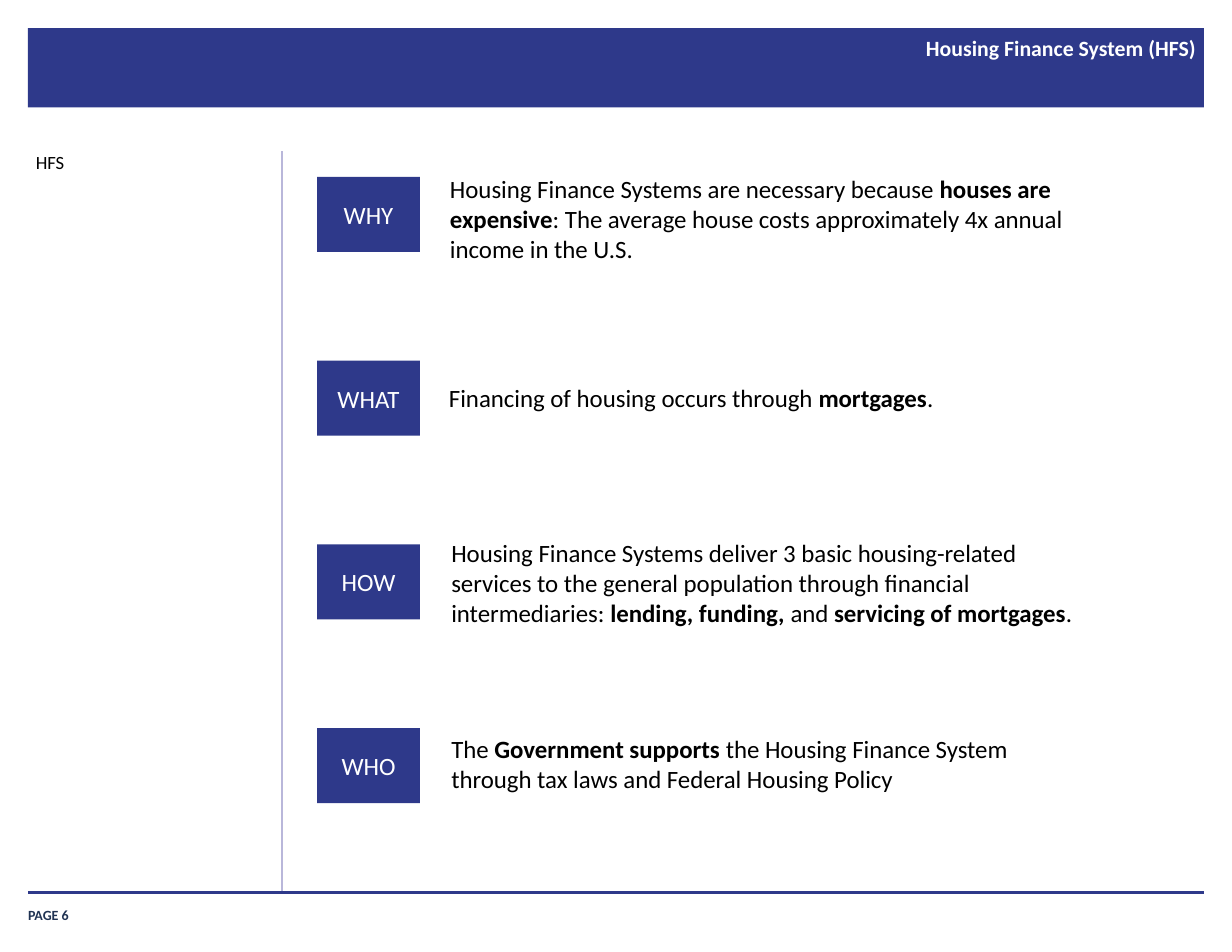
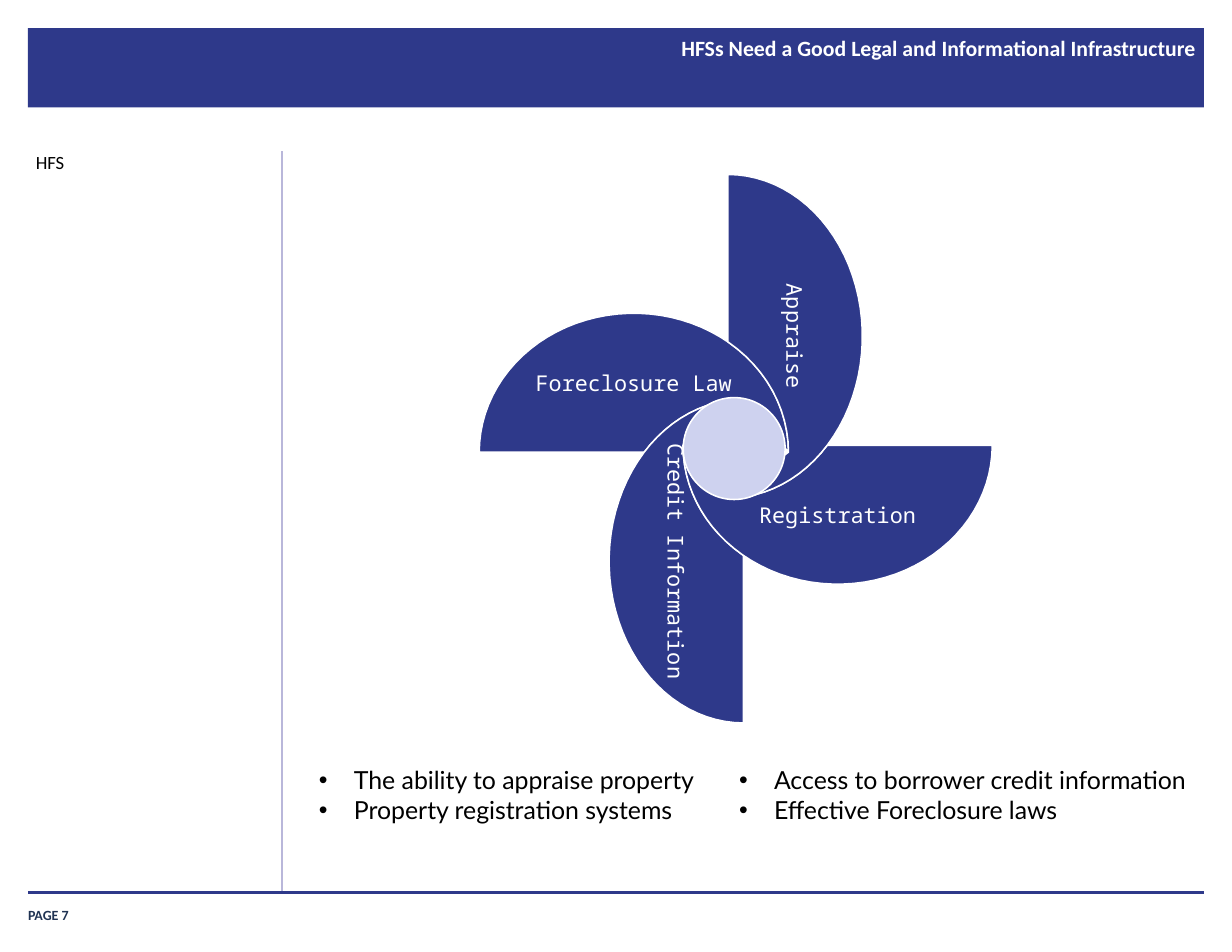
from math import asin, cos, degrees, radians, sin

from lxml.etree import SubElement
from pptx import Presentation
from pptx.dml.color import RGBColor
from pptx.enum.shapes import MSO_CONNECTOR, MSO_SHAPE
from pptx.enum.text import MSO_ANCHOR as ANCHOR, MSO_AUTO_SIZE, PP_ALIGN as ALIGN
from pptx.oxml.ns import qn
from pptx.util import Pt

NAVY = RGBColor(0x2E, 0x39, 0x8A)
PAGE_INK = RGBColor(0x20, 0x33, 0x53)
LILAC = RGBColor(0xCE, 0xD2, 0xEF)
RULE_LILAC = RGBColor(0xB9, 0xB7, 0xDA)
WHITE = RGBColor(255, 255, 255)
BLACK = RGBColor(0, 0, 0)


def style(p, size, color, font="Calibri", bold=False, align=None):
    if align is not None:
        p.alignment = align
    for r in p.runs:
        r.font.size, r.font.name, r.font.bold = Pt(size), font, bold
        r.font.color.rgb = color


def paint(shape, fill, line=None):
    """Give a shape a flat fill, an optional 1 pt outline and no shadow."""
    shape.shadow.inherit = False
    shape.fill.solid()
    shape.fill.fore_color.rgb = fill
    if line is None:
        shape.line.fill.background()
    else:
        shape.line.color.rgb = line
        shape.line.width = Pt(1)


prs = Presentation()
prs.slide_width, prs.slide_height = Pt(792), Pt(612)

# Shared frame: band, rules, page number, title and side note
TITLES = ["Housing Finance System (HFS)",
          "HFSs Need a Good Legal and Informational Infrastructure"]
RULES = [(18, 573.9, 774, 573.9, 2.25, NAVY), (181.4, 97.2, 181.4, 573, 1, RULE_LILAC)]

for page, title in enumerate(TITLES, start=6):
    s = prs.slides.add_slide(prs.slide_layouts[1])

    band = s.shapes.add_shape(MSO_SHAPE.RECTANGLE, Pt(18), Pt(18), Pt(756), Pt(51.1))
    paint(band, NAVY)

    number = s.shapes.add_textbox(Pt(18), Pt(576.7), Pt(65.5), Pt(16.6))
    number.text_frame.text = f"PAGE {page}"
    number.text_frame.vertical_anchor = ANCHOR.BOTTOM
    style(number.text_frame.paragraphs[0], 9, PAGE_INK, bold=True)

    for x1, y1, x2, y2, width, color in RULES:
        rule = s.shapes.add_connector(MSO_CONNECTOR.STRAIGHT, Pt(x1), Pt(y1), Pt(x2), Pt(y2))
        rule.line.color.rgb = color
        rule.line.width = Pt(width)
        SubElement(rule._element.spPr, qn("a:effectLst"))

    head, note = s.shapes.title, s.placeholders[1]
    head.left, head.top, head.width, head.height = Pt(228.2), Pt(20.9), Pt(540.7), Pt(48.2)
    note.left, note.top, note.width, note.height = Pt(23), Pt(97.2), Pt(144.7), Pt(466.6)
    head.text_frame.text = title
    note.text_frame.text = "HFS"
    for box in (head, note, number):
        tf = box.text_frame
        tf.margin_left = tf.margin_top = tf.margin_right = tf.margin_bottom = 0
        tf.word_wrap = True
        tf.auto_size = MSO_AUTO_SIZE.NONE
    for box in (head, note):
        box.text_frame.vertical_anchor = ANCHOR.TOP
        s.shapes._spTree.append(box._element)  # in front of the band
    p = head.text_frame.paragraphs[0]
    p.line_spacing = 1.1
    style(p, 14, WHITE, bold=True, align=ALIGN.RIGHT)
    p = note.text_frame.paragraphs[0]
    pPr = p._p.get_or_add_pPr()
    pPr.set("marL", "0")
    pPr.set("indent", "0")
    SubElement(pPr, qn("a:buNone"))
    p.space_before = Pt(0)
    style(p, 12, BLACK, align=ALIGN.LEFT)

overview, infrastructure = prs.slides

# Four questions; in each answer every second part is bold
QUESTIONS = [
    ("WHY", 282.2, 108, 65.5,
     ["Housing Finance Systems are necessary because ", "houses are expensive",
      ": The average house costs approximately 4x annual income in the U.S."]),
    ("WHAT", 281.5, 242.6, 26.6,
     ["Financing of housing occurs through", " mortgages", "."]),
    ("HOW", 283, 342, 65.5,
     ["Housing Finance Systems deliver 3 basic housing-related services to the general "
      "population through financial intermediaries: ", "lending, funding, ", "and",
      " servicing of mortgages", "."]),
    ("WHO", 283, 468, 46.1,
     ["The ", "Government supports",
      " the Housing Finance System through tax laws and Federal Housing Policy"]),
]
for row, (word, x, y, height, parts) in enumerate(QUESTIONS):
    label = overview.shapes.add_shape(MSO_SHAPE.RECTANGLE, Pt(203.8), Pt(113.8 + 118.1 * row),
                                      Pt(66.2), Pt(48.2))
    paint(label, NAVY)
    label.text_frame.text = word
    label.text_frame.vertical_anchor = ANCHOR.MIDDLE
    style(label.text_frame.paragraphs[0], 16, WHITE, align=ALIGN.CENTER)

    answer = overview.shapes.add_textbox(Pt(x), Pt(y), Pt(426.2), Pt(height))
    answer.text_frame.word_wrap = True
    p = answer.text_frame.paragraphs[0]
    for part in parts:
        p.add_run().text = part
    style(p, 16, BLACK)
    for r in p.runs[1::2]:
        r.font.bold = True

# Pinwheel: a blade is a half ellipse pointing left of the hub, then turned clockwise.
# Its inner end is cut along the outer edge of the blade a quarter turn behind it.
HUB_X, HUB_Y = 473, 288.5
# centre along and across, radius along and across
FLAT = (-65.5, 2.2, 99.4, 89.3)
UPRIGHT = (-72.3, 5, 104, 86.4)
BLADES = [("Foreclosure Law", 0, FLAT, UPRIGHT), ("Credit Information", 270, UPRIGHT, FLAT),
          ("Registration", 180, FLAT, UPRIGHT), ("Appraise", 90, UPRIGHT, FLAT)]

for name, turn, (along, across, a, b), (next_along, next_across, next_a, next_b) in BLADES:
    outline = [(along + a * cos(radians(d)), across - b * sin(radians(d)))
               for d in range(0, 181, 4)]
    start = degrees(asin((-next_along - across) / next_a))
    for step in range(13):
        t = radians(start + (90 - start) * step / 12)
        outline.append((next_across - next_b * cos(t), -next_along - next_a * sin(t)))
    c, n = cos(radians(turn)), sin(radians(turn))
    points = [(Pt(HUB_X + u * c - v * n), Pt(HUB_Y + u * n + v * c)) for u, v in outline]
    builder = infrastructure.shapes.build_freeform(*points[0])
    builder.add_line_segments(points[1:], close=True)
    blade = builder.convert_to_shape()
    paint(blade, NAVY, WHITE)
    tf = blade.text_frame
    tf.text = name
    tf.word_wrap = True
    tf.vertical_anchor = ANCHOR.MIDDLE
    if turn % 180:
        tf._txBody.bodyPr.set("vert", "vert")
    style(tf.paragraphs[0], 14, WHITE, "Noto Sans Mono", align=ALIGN.CENTER)

hub = infrastructure.shapes.add_shape(MSO_SHAPE.OVAL, Pt(439.2), Pt(255.6), Pt(65.5), Pt(65.5))
paint(hub, LILAC, WHITE)

# Requirements in two columns
COLUMNS = [
    (198, 264.2, ["The ability to appraise property", "Property registration systems"]),
    (468, 325.4, ["Access to borrower credit information", "Effective Foreclosure laws"]),
]
for x, width, items in COLUMNS:
    column = infrastructure.shapes.add_textbox(Pt(x), Pt(488.2), Pt(width), Pt(46.1))
    tf = column.text_frame
    tf.word_wrap = True
    tf.text = "\n".join(items)
    for p in tf.paragraphs:
        pPr = p._p.get_or_add_pPr()
        pPr.set("marL", str(Pt(22.5)))
        pPr.set("indent", str(-Pt(22.5)))
        SubElement(pPr, qn("a:buFont"), typeface="Arial")
        SubElement(pPr, qn("a:buChar"), char="•")
        style(p, 16, BLACK, "Lato")

prs.save("out.pptx")
